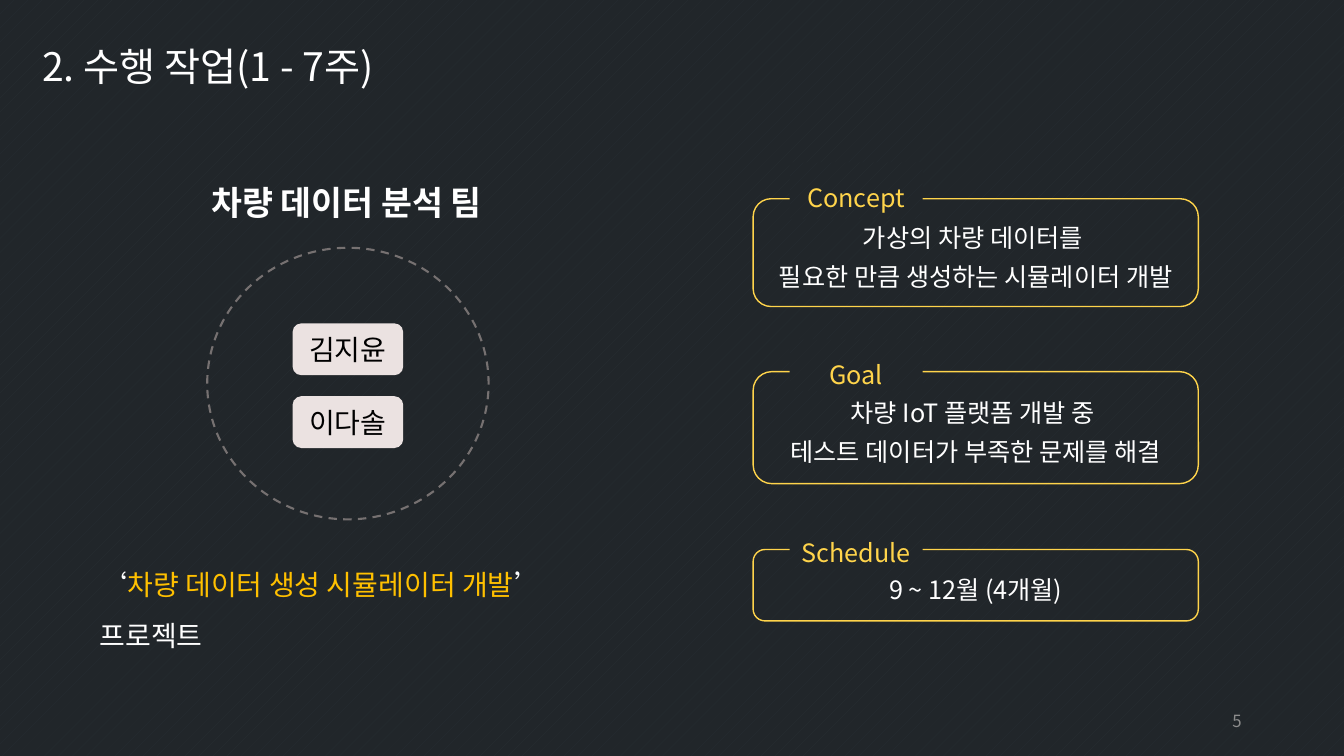
"""Build the team and project overview slide."""
from lxml.etree import SubElement
from pptx import Presentation
from pptx.dml.color import RGBColor
from pptx.enum.dml import MSO_LINE, MSO_PATTERN
from pptx.enum.shapes import MSO_SHAPE
from pptx.enum.text import MSO_ANCHOR, MSO_AUTO_SIZE, PP_ALIGN
from pptx.oxml.ns import qn
from pptx.util import Pt

FONT = "Noto Sans CJK KR"
WHITE, BLACK, YELLOW, AMBER = "FFFFFF", "000000", "FFD44B", "FFC000"
PALE, GREY, PAGE_GREY = "EBE2E1", "767171", "8C8C8C"
DARK, DARK_DOT = "21262A", "282F34"

CARD_LEFT, CARD_WIDTH = 538, 318
LABEL_LEFT, LABEL_WIDTH = 564, 95
CARDS = [
    ("Concept", 116, 40.5, 142, 77,
     ["가상의 차량 데이터를 ", "필요한 만큼 생성하는 시뮬레이터 개발"]),
    ("Goal", 242.5, 36.5, 265.5, 80,
     ["차량 IoT 플랫폼 개발 중 ", "테스트 데이터가 부족한 문제를 해결"]),
    ("Schedule", 369.5, 36.5, 392.5, 51, ["9 ~ 12월 (4개월)"]),
]
MEMBERS = ["김지윤", "이다솔"]
MEMBER_TOP, MEMBER_STEP = 231, 52


def rgb(value):
    """Turn a hex string into a colour."""
    return RGBColor.from_string(value)


def fill_dark(fill):
    """Give a fill the dark dotted pattern of the slide."""
    fill.patterned()
    fill.pattern = MSO_PATTERN.PERCENT_5
    fill.fore_color.rgb = rgb(DARK_DOT)
    fill.back_color.rgb = rgb(DARK)


def add_run(p, text, size, color, bold=False):
    """Add one formatted run to a paragraph."""
    r = p.add_run()
    r.text = text
    r.font.size = Pt(size)
    r.font.bold = bold
    r.font.name = FONT
    r.font.color.rgb = rgb(color)
    SubElement(r.font._element, qn("a:ea")).set("typeface", FONT)


def write(sp, paragraphs, size, align=PP_ALIGN.LEFT, anchor=MSO_ANCHOR.TOP,
          spacing=1.0, bold=False, auto_size=MSO_AUTO_SIZE.NONE):
    """Write paragraphs, each a list of (text, colour) runs, into a shape."""
    tf = sp.text_frame
    tf.word_wrap = True
    tf.auto_size = auto_size
    tf.vertical_anchor = anchor
    for i, runs in enumerate(paragraphs):
        p = tf.add_paragraph() if i else tf.paragraphs[0]
        p.alignment = align
        p.line_spacing = spacing
        for text, color in runs:
            add_run(p, text, size, color, bold)


def add_text(s, box, runs, size, **options):
    """Add a one-paragraph text box."""
    sp = s.shapes.add_textbox(*map(Pt, box))
    write(sp, [runs], size, **options)


def add_shape(s, kind, box, fill=None, line=None, width=1):
    """Add a preset shape without shadow."""
    sp = s.shapes.add_shape(kind, *map(Pt, box))
    sp.shadow.inherit = False
    if fill:
        sp.fill.solid()
        sp.fill.fore_color.rgb = rgb(fill)
    else:
        sp.fill.background()
    if line:
        sp.line.color.rgb = rgb(line)
        sp.line.width = Pt(width)
    else:
        sp.line.fill.background()
    return sp


def add_title(s, text):
    """Place and fill the title placeholder."""
    title = s.shapes.title
    title.left, title.top, title.width, title.height = map(
        Pt, (23, 26.5, 564.5, 41))
    write(title, [[(text, WHITE)]], 28)


def add_member(s, name, top):
    """Add the name plate of a team member."""
    sp = add_shape(s, MSO_SHAPE.ROUNDED_RECTANGLE, (209, top, 79, 37), fill=PALE)
    write(sp, [[(name, BLACK)]], 20, PP_ALIGN.CENTER, MSO_ANCHOR.MIDDLE)


def add_card(s, label, label_top, label_height, top, height, lines):
    """Add an outlined card whose label interrupts its top edge."""
    card = add_shape(s, MSO_SHAPE.ROUNDED_RECTANGLE,
                     (CARD_LEFT, top, CARD_WIDTH, height), line=YELLOW)
    write(card, [[(line, WHITE)] for line in lines], 18,
          PP_ALIGN.CENTER, MSO_ANCHOR.MIDDLE, 1.3)
    tag = add_shape(s, MSO_SHAPE.RECTANGLE,
                    (LABEL_LEFT, label_top, LABEL_WIDTH, label_height))
    fill_dark(tag.fill)
    write(tag, [[(label, YELLOW)]], 18, PP_ALIGN.CENTER, spacing=1.5,
          auto_size=MSO_AUTO_SIZE.SHAPE_TO_FIT_TEXT)


def main():
    """Build and save the slide."""
    prs = Presentation()
    prs.slide_width, prs.slide_height = Pt(960), Pt(540)
    s = prs.slides.add_slide(prs.slide_layouts[5])
    fill_dark(s.background.fill)
    add_title(s, "2. 수행 작업(1 - 7주)")

    add_text(s, (64, 390, 376.5, 44),
             [("‘", WHITE), ("차량 데이터 생성 시뮬레이터 개발", AMBER),
              ("’ 프로젝트", WHITE)], 20, spacing=1.5)
    add_text(s, (144, 126.5, 209.5, 36), [("차량 데이터 분석 팀", WHITE)], 24,
             bold=True)
    for i, name in enumerate(MEMBERS):
        add_member(s, name, MEMBER_TOP + i * MEMBER_STEP)
    ring = add_shape(s, MSO_SHAPE.OVAL, (148, 177, 201, 194),
                     line=GREY, width=1.5)
    ring.line.dash_style = MSO_LINE.DASH

    for card in CARDS:
        add_card(s, *card)
    add_text(s, (678, 500.5, 216, 29), [("5", PAGE_GREY)], 12,
             align=PP_ALIGN.RIGHT, anchor=MSO_ANCHOR.MIDDLE)
    prs.save("out.pptx")


if __name__ == "__main__":
    main()
